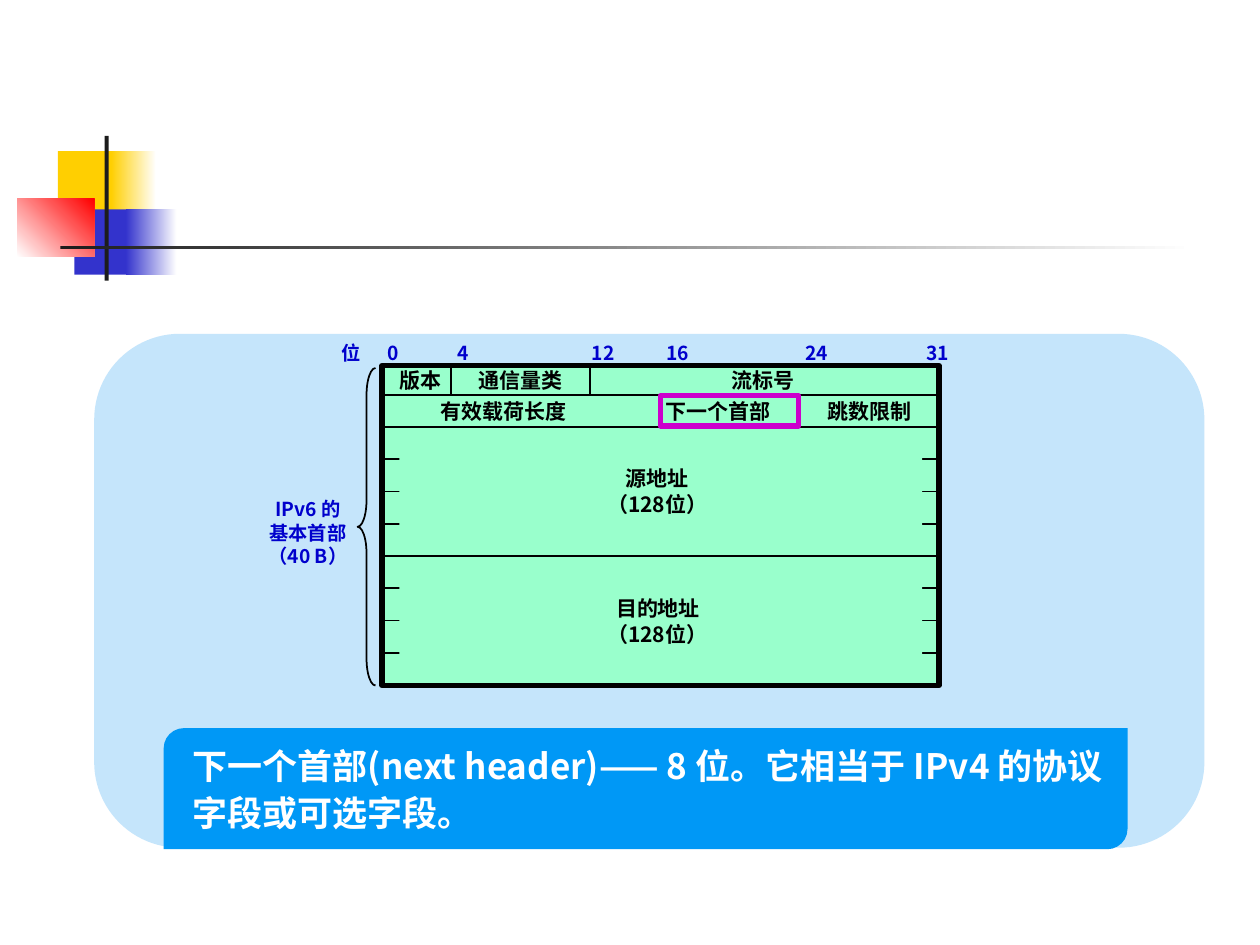
from dataclasses import dataclass

from lxml import etree
from pptx import Presentation
from pptx import util as u
from pptx.dml.color import RGBColor
from pptx.enum import shapes, text
from pptx.oxml import ns

Cm, Pt = u.Cm, u.Pt
KIND = shapes.MSO_SHAPE


@dataclass(frozen=True)
class Theme:
    font: str = "Noto Sans CJK SC"
    white: str = "FFFFFF"
    black: str = "000000"
    ink: str = "1C1C1C"
    gold: str = "FFCF01"
    indigo: str = "3333CC"
    red: str = "FF0000"
    panel: str = "C5E5FB"
    field: str = "99FFCC"
    label: str = "0000CC"
    highlight: str = "CC00CC"
    caption: str = "0098F6"
    small: int = 11
    medium: int = 12
    large: int = 20


THEME = Theme()

# Header diagram grid, in cm
LEFT, RIGHT, TOP = 7.7, 18.95, 7.37
FIRST_RULE, ROW = 7.96, 0.65
RULES = [FIRST_RULE + ROW * row for row in range(10)]


def rgb(value):
    return RGBColor.from_string(value)


def add_block(page, kind, place, fill=None, line=None, weight=1):
    """Add a preset shape; place is left, top, width, height in cm."""
    block = page.shapes.add_shape(kind, *map(Cm, place))
    block.shadow.inherit = False
    if fill:
        block.fill.solid()
        block.fill.fore_color.rgb = rgb(fill)
    else:
        block.fill.background()
    if line:
        block.line.color.rgb = rgb(line)
        block.line.width = Pt(weight)
    else:
        block.line.fill.background()
    return block


def add_fade(page, place, start, end, angle=0):
    block = add_block(page, KIND.RECTANGLE, place)
    block.fill.gradient()
    block.fill.gradient_angle = angle
    for stop, position, color in zip(block.fill.gradient_stops, (0, 1), (start, end)):
        stop.position = position
        stop.color.rgb = rgb(color)


def add_rule(page, x1, y1, x2, y2):
    rule = page.shapes.add_connector(
        shapes.MSO_CONNECTOR.STRAIGHT, Cm(x1), Cm(y1), Cm(x2), Cm(y2))
    rule.line.color.rgb = rgb(THEME.black)
    rule.line.width = Pt(1)
    etree.SubElement(rule._element.spPr, ns.qn("a:effectLst"))


def add_label(page, content, place, size, color, align=None, wrap=False, spacing=None):
    box = page.shapes.add_textbox(*map(Cm, place))
    frame = box.text_frame
    frame.word_wrap = wrap
    frame.auto_size = text.MSO_AUTO_SIZE.SHAPE_TO_FIT_TEXT
    frame.text = content
    for para in frame.paragraphs:
        para.alignment = align
        para.line_spacing = spacing
        for span in para.runs:
            span.font.name = THEME.font
            span.font.size = Pt(size)
            span.font.bold = True
            span.font.color.rgb = rgb(color)
            east_asian = etree.SubElement(span.font._element, ns.qn("a:ea"))
            east_asian.set("typeface", THEME.font)


def draw_ornament(page):
    add_block(page, KIND.RECTANGLE, (1.17, 3.05, 1.22, 1.32), THEME.gold)
    add_fade(page, (2.24, 3.05, 0.91, 1.32), THEME.gold, THEME.white)
    add_block(page, KIND.RECTANGLE, (1.5, 4.22, 1.17, 1.32), THEME.indigo)
    add_fade(page, (2.54, 4.22, 1.02, 1.32), THEME.indigo, THEME.white)
    add_fade(page, (0.35, 4.01, 1.55, 1.17), THEME.white, THEME.red, 45)
    add_block(page, KIND.RECTANGLE, (2.11, 2.74, 0.08, 2.92), THEME.ink)
    add_fade(page, (1.22, 4.95, 22.86, 0.08), THEME.ink, THEME.white)


def draw_grid(page):
    add_block(page, KIND.RECTANGLE, (LEFT, TOP, 11.23, 6.45), THEME.field, THEME.black, 3)
    for y in RULES:
        add_rule(page, LEFT, y, RIGHT, y)
    # Field borders in the first two rows
    for x in (9.09, 11.9):
        add_rule(page, x, TOP, x, RULES[0])
    for x in (13.31, 16.13):
        add_rule(page, x, RULES[0], x, RULES[1])
    # Address fields leave only short ticks of the rules inside
    for y in (9.09, 11.66):
        add_block(page, KIND.RECTANGLE, (8.05, y, 10.54, 1.74), THEME.field)


def draw_labels(page):
    # Bit positions
    bits = [("位", 6.63, 0.89), ("0", 7.57, 0.74), ("4", 8.97, 0.76), ("12", 11.68, 0.99),
            ("16", 13.18, 0.99), ("24", 15.98, 0.99), ("31", 18.42, 0.99)]
    for content, x, width in bits:
        add_label(page, content, (x, 6.76, width, 0.71), THEME.small, THEME.label)

    # Field names
    fields = [("版本", 7.8, 7.29, 1.37), ("通信量类", 9.4, 7.29, 2.21),
              ("流标号", 14.5, 7.29, 1.78), ("有效载荷长度", 8.64, 7.9, 3.07),
              ("下一个首部", 13.16, 7.9, 2.64), ("跳数限制", 16.43, 7.9, 2.21),
              ("源地址", 12.37, 9.27, 1.78), ("（128位）", 11.99, 9.78, 2.59),
              ("目的地址", 12.17, 11.89, 2.21), ("（128位）", 11.99, 12.4, 2.59)]
    for content, x, y, width in fields:
        add_label(page, content, (x, y, width, 0.76), THEME.medium, THEME.black)


def draw_brace(page):
    brace = add_block(page, KIND.LEFT_BRACE, (7.21, 7.42, 0.36, 6.4), line=THEME.black)
    brace.adjustments[0] = 1.515
    add_label(page, "IPv6 的\n基本首部\n（40 B）", (5.13, 9.91, 2.16, 1.65),
              THEME.small, THEME.label, text.PP_ALIGN.CENTER)


def draw_caption(page):
    add_block(page, KIND.ROUND_2_DIAG_RECTANGLE, (3.3, 14.68, 19.43, 2.44), THEME.caption)
    add_label(page, "下一个首部(next header)—— 8 位。它相当于 IPv4 的协议字段或可选字段。",
              (3.63, 14.78, 19.1, 2.18), THEME.large, THEME.white, wrap=True, spacing=Pt(27))


def main():
    deck = Presentation()
    deck.slide_width, deck.slide_height = Cm(25.4), Cm(19.05)
    page = deck.slides.add_slide(deck.slide_layouts[6])

    draw_ornament(page)
    add_block(page, KIND.ROUNDED_RECTANGLE, (1.9, 6.73, 22.38, 10.36), THEME.panel)
    draw_grid(page)
    draw_labels(page)
    draw_brace(page)
    # Frame around the next header field
    add_block(page, KIND.RECTANGLE, (13.31, 7.98, 2.79, 0.61), line=THEME.highlight, weight=3)
    draw_caption(page)

    deck.save("out.pptx")


if __name__ == "__main__":
    main()
